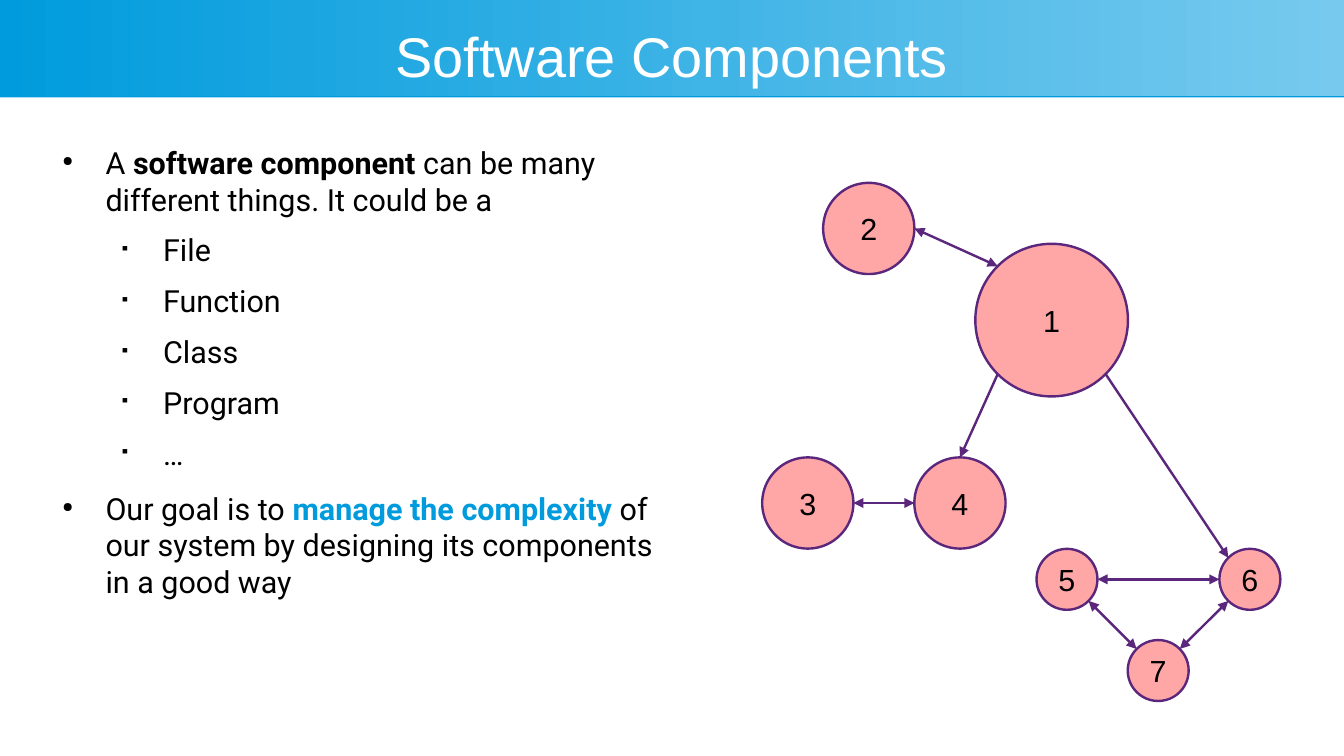
from dataclasses import dataclass
from math import cos, radians, sin

from lxml.etree import SubElement
from pptx import Presentation
from pptx.dml.color import RGBColor
from pptx.enum.shapes import MSO_CONNECTOR, MSO_SHAPE
from pptx.enum.text import MSO_ANCHOR, PP_ALIGN
from pptx.oxml.ns import qn
from pptx.util import Cm, Pt

COLORS = {
    "blue": "009BDD",
    "light_blue": "77CAEE",
    "pink": "FFA6A6",
    "purple": "5B277D",
    "black": "000000",
    "white": "FFFFFF",
}
LINE_WIDTH = Pt(1.42)


@dataclass(frozen=True)
class Component:
    """A circle, with its centre and diameter in centimetres."""
    label: str
    x: float
    y: float
    diameter: float

    def rim(self, angle: float) -> tuple[float, float]:
        """Point on the rim, in degrees clockwise from the right."""
        radius = self.diameter / 2
        return (self.x + radius * cos(radians(angle)),
                self.y + radius * sin(radians(angle)))


@dataclass(frozen=True)
class Dependency:
    """An arrow between the rims of two components."""
    source: str
    source_angle: float
    target: str
    target_angle: float
    both_ways: bool = True


@dataclass(frozen=True)
class Bullet:
    level: int
    before: str
    strong: str = ""
    after: str = ""
    strong_color: str = "black"


COMPONENTS = [
    Component("2", 18.1, 4.76, 1.9),
    Component("1", 21.91, 6.67, 3.18),
    Component("3", 16.83, 10.48, 1.9),
    Component("4", 20.0, 10.48, 1.9),
    Component("7", 24.13, 13.97, 1.27),
    Component("6", 26.04, 12.07, 1.27),
    Component("5", 22.23, 12.07, 1.27),
]
DEPENDENCIES = [
    Dependency("2", 0, "1", 225),
    Dependency("3", 0, "4", 180),
    Dependency("5", 45, "7", 225),
    Dependency("7", 315, "6", 135),
    Dependency("5", 0, "6", 180),
    Dependency("1", 45, "6", 225, both_ways=False),
    Dependency("1", 135, "4", 270, both_ways=False),
]
BULLETS = [
    Bullet(0, "A ", "software component ",
           "can be many different things. It could be a"),
    *(Bullet(1, kind) for kind in ("File", "Function", "Class", "Program", "…")),
    Bullet(0, "Our goal is to ", "manage the complexity ",
           "of our system by designing its components in a good way", "blue"),
]


def rgb(name: str) -> RGBColor:
    return RGBColor.from_string(COLORS[name])


def set_font(font, name: str, size: float, color: str) -> None:
    font.name, font.size = name, Pt(size)
    font.color.rgb = rgb(color)


def prepare_frame(shape):
    frame = shape.text_frame
    frame.word_wrap = True
    frame.margin_left = frame.margin_right = 0
    frame.margin_top = frame.margin_bottom = 0
    return frame


def add_centred_text(shape, text: str, size: float, color: str) -> None:
    frame = prepare_frame(shape)
    frame.vertical_anchor = MSO_ANCHOR.MIDDLE
    paragraph = frame.paragraphs[0]
    paragraph.text = text
    paragraph.alignment = PP_ALIGN.CENTER
    set_font(paragraph.font, "Arial", size, color)


def add_header(slide, width: int) -> None:
    for height, gradient in ((2.03, False), (2.0, True)):
        band = slide.shapes.add_shape(MSO_SHAPE.RECTANGLE, 0, 0, width, Cm(height))
        band.shadow.inherit = False
        band.line.fill.background()
        if gradient:
            band.fill.gradient()
            band.fill.gradient_angle = 0
            for stop, color in zip(band.fill.gradient_stops, ("blue", "light_blue")):
                stop.color.rgb = rgb(color)
        else:
            band.fill.solid()
            band.fill.fore_color.rgb = rgb("blue")
    title = slide.shapes.add_textbox(Cm(1), Cm(0.48), Cm(26), Cm(1.35))
    add_centred_text(title, "Software Components", 33, "white")


def add_bullets(slide, bullets: list[Bullet]) -> None:
    frame = prepare_frame(slide.shapes.add_textbox(Cm(1), Cm(3), Cm(12.98), Cm(10)))
    for index, bullet in enumerate(bullets):
        paragraph = frame.add_paragraph() if index else frame.paragraphs[0]
        paragraph.level = bullet.level
        if index:
            paragraph.space_before = Pt(8.5 if bullet.level else 10.6)
        properties = paragraph._p.get_or_add_pPr()
        properties.set("marL", str(Cm(1.2 * (bullet.level + 1))))
        properties.set("indent", str(-Cm(0.9)))
        SubElement(properties, qn("a:buSzPct"), val="45000")
        SubElement(properties, qn("a:buChar"), char="▪" if bullet.level else "●")
        set_font(paragraph.font, "Roboto", 18, "black")
        paragraph.add_run().text = bullet.before
        if bullet.strong:
            strong = paragraph.add_run()
            strong.text = bullet.strong
            strong.font.bold = True
            strong.font.color.rgb = rgb(bullet.strong_color)
            paragraph.add_run().text = bullet.after


def add_component(slide, component: Component) -> None:
    size = Cm(component.diameter)
    circle = slide.shapes.add_shape(
        MSO_SHAPE.OVAL, Cm(component.x) - size // 2, Cm(component.y) - size // 2,
        size, size)
    circle.shadow.inherit = False
    circle.fill.solid()
    circle.fill.fore_color.rgb = rgb("pink")
    circle.line.color.rgb = rgb("purple")
    circle.line.width = LINE_WIDTH
    add_centred_text(circle, component.label, 18, "black")


def add_dependency(slide, link: Dependency, components: dict[str, Component]) -> None:
    start = components[link.source].rim(link.source_angle)
    end = components[link.target].rim(link.target_angle)
    arrow = slide.shapes.add_connector(
        MSO_CONNECTOR.STRAIGHT, *(Cm(value) for value in start + end))
    arrow.line.color.rgb = rgb("purple")
    arrow.line.width = LINE_WIDTH
    line = arrow.line._get_or_add_ln()
    if link.both_ways:
        SubElement(line, qn("a:headEnd"), type="triangle")
    SubElement(line, qn("a:tailEnd"), type="triangle")
    SubElement(arrow._element.spPr, qn("a:effectLst"))


def main() -> None:
    presentation = Presentation()
    presentation.slide_width, presentation.slide_height = Cm(28), Cm(15.75)
    slide = presentation.slides.add_slide(presentation.slide_layouts[6])

    # Header and text
    add_header(slide, presentation.slide_width)
    add_bullets(slide, BULLETS)

    # Component graph
    for component in COMPONENTS:
        add_component(slide, component)
    by_label = {component.label: component for component in COMPONENTS}
    for link in DEPENDENCIES:
        add_dependency(slide, link, by_label)

    presentation.save("out.pptx")


if __name__ == "__main__":
    main()
